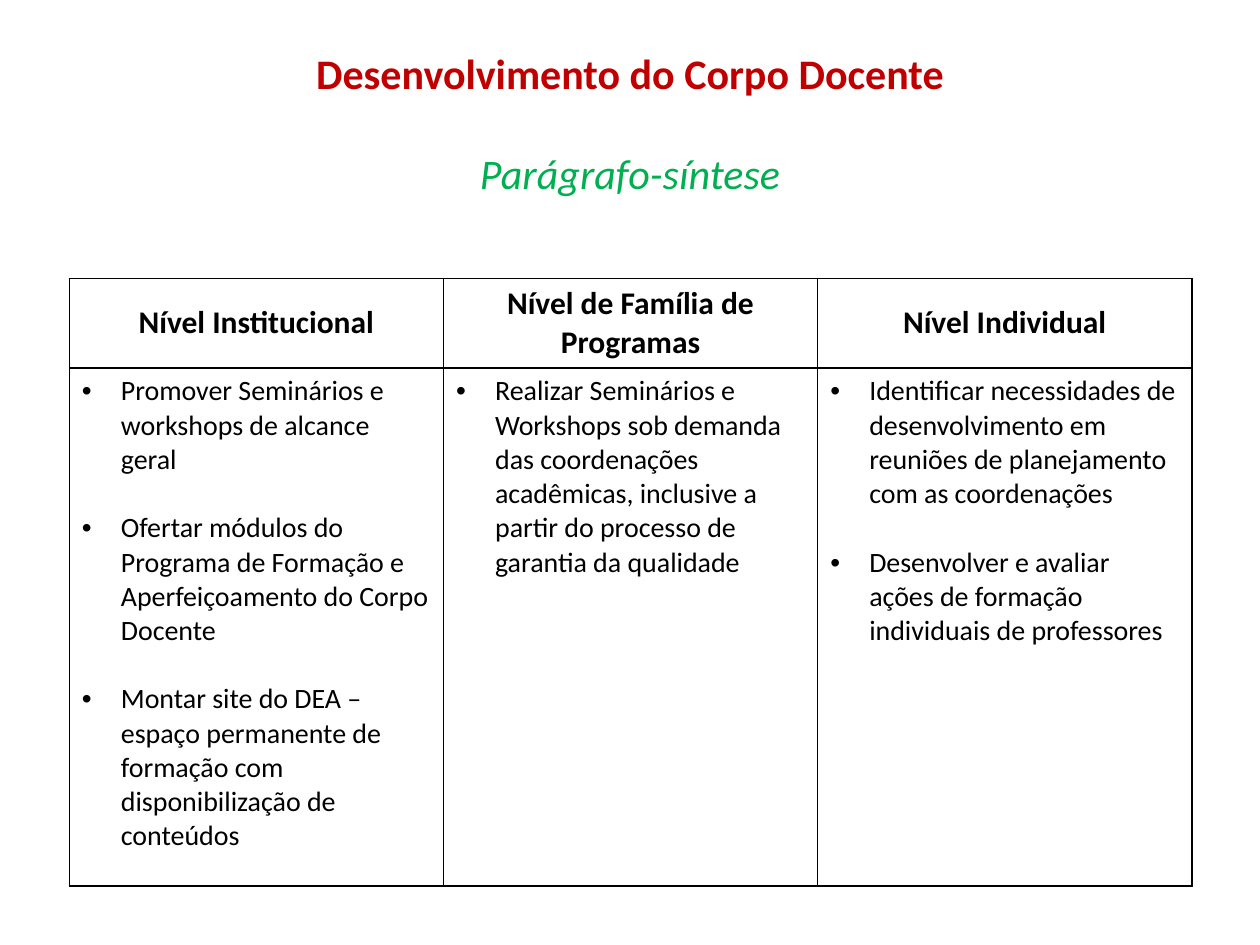
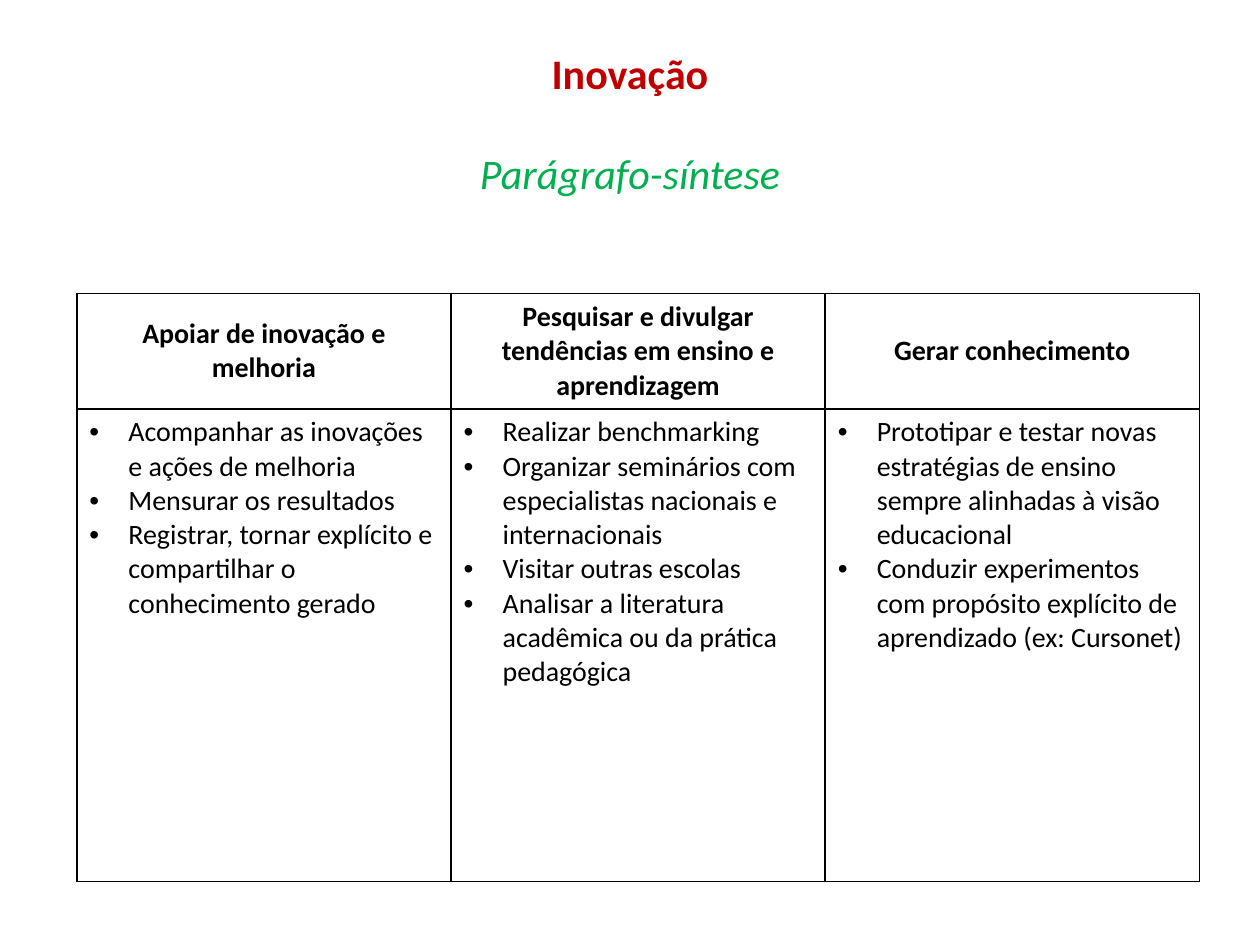
from pptx import Presentation
from pptx.dml.color import RGBColor
from pptx.enum.text import MSO_ANCHOR as Anchor, MSO_AUTO_SIZE as AutoSize, PP_ALIGN as Align
from pptx.oxml import parse_xml
from pptx.oxml.ns import nsdecls
from pptx.util import Inches, Pt

FONT = "Calibri"
RED, GREEN, BLACK = "C00000", "00B050", "000000"
SUBTITLE = "Parágrafo-síntese"
COLUMN_WIDTH = 2.97
BULLET_INDENT = Inches(0.31)
BULLET = f'<a:buChar {nsdecls("a")} char="•"/>'
BULLET_FONT = f'<a:buFont {nsdecls("a")} typeface="Arial"/>'

SLIDES = [
    {
        "title": "Desenvolvimento do Corpo Docente",
        "origin": (0.55, 2.21),
        "row_heights": (0.71, 4.11),
        "header_size": 18,
        "item_gap": 19.5,
        "columns": {
            "Nível Institucional": [
                "Promover Seminários e workshops de alcance geral",
                "Ofertar módulos do Programa de Formação e Aperfeiçoamento do Corpo Docente",
                "Montar site do DEA – espaço permanente de formação com disponibilização de conteúdos",
            ],
            "Nível de Família de Programas": [
                "Realizar Seminários e Workshops sob demanda das coordenações acadêmicas, "
                "inclusive a partir do processo de garantia da qualidade",
            ],
            "Nível Individual": [
                "Identificar necessidades de desenvolvimento em reuniões de planejamento "
                "com as coordenações",
                "Desenvolver e avaliar ações de formação individuais de professores",
            ],
        },
    },
    {
        "title": "Inovação",
        "origin": (0.61, 2.33),
        "row_heights": (0.91, 3.75),
        "header_size": 16,
        "item_gap": 0,
        "columns": {
            "Apoiar de inovação e melhoria": [
                "Acompanhar as inovações e ações de melhoria",
                "Mensurar os resultados",
                "Registrar, tornar explícito e compartilhar o conhecimento gerado",
            ],
            "Pesquisar e divulgar tendências em ensino e aprendizagem": [
                "Realizar benchmarking",
                "Organizar seminários com especialistas nacionais e internacionais",
                "Visitar outras escolas",
                "Analisar a literatura acadêmica ou da prática pedagógica",
            ],
            "Gerar conhecimento": [
                "Prototipar e testar novas estratégias de ensino sempre alinhadas à visão educacional",
                "Conduzir experimentos com propósito explícito de aprendizado (ex: Cursonet)",
            ],
        },
    },
]


def rgb(value):
    return RGBColor.from_string(value)


def apply(target, settings):
    for name, value in settings.items():
        setattr(target, name, value)


class Deck:
    def __init__(self):
        self.presentation = Presentation()
        apply(self.presentation, {"slide_width": Inches(10), "slide_height": Inches(7.5)})
        self.slide = None

    def add_slide(self):
        self.slide = self.presentation.slides.add_slide(self.presentation.slide_layouts[5])

    def add_text(self, paragraph, text, size, color=BLACK, bold=False, italic=False):
        run = paragraph.add_run()
        run.text = text
        apply(run.font, {"name": FONT, "size": Pt(size), "bold": bold, "italic": italic})
        run.font.color.rgb = rgb(color)

    def heading(self, title, subtitle):
        placeholder = self.slide.shapes.title
        apply(placeholder, {"left": Inches(0.5), "top": Inches(0.3),
                            "width": Inches(9), "height": Inches(1.95)})
        frame = placeholder.text_frame
        apply(frame, {"auto_size": AutoSize.NONE, "word_wrap": True,
                      "vertical_anchor": Anchor.TOP, "margin_top": Inches(0.08)})
        title_line, subtitle_line = frame.paragraphs[0], frame.add_paragraph()
        apply(title_line, {"alignment": Align.CENTER})
        apply(subtitle_line, {"alignment": Align.CENTER, "space_before": Pt(28)})
        self.add_text(title_line, title, 24, RED, bold=True)
        self.add_text(subtitle_line, subtitle, 24, GREEN, italic=True)

    def outline(self, cell):
        properties = cell._tc.get_or_add_tcPr()
        for side in "LRTB":
            properties.append(parse_xml(
                f'<a:ln{side} {nsdecls("a")} w="{Pt(1)}"><a:solidFill>'
                f'<a:srgbClr val="{BLACK}"/></a:solidFill></a:ln{side}>'))
        cell.fill.background()

    def header(self, cell, text, size):
        self.outline(cell)
        cell.vertical_anchor = Anchor.MIDDLE
        paragraph = cell.text_frame.paragraphs[0]
        paragraph.alignment = Align.CENTER
        self.add_text(paragraph, text, size, bold=True)

    def bullets(self, cell, items, gap):
        self.outline(cell)
        frame = cell.text_frame
        for index, item in enumerate(items):
            paragraph = frame.add_paragraph() if index else frame.paragraphs[0]
            properties = paragraph._p.get_or_add_pPr()
            properties.set("marL", str(BULLET_INDENT))
            properties.set("indent", str(-BULLET_INDENT))
            for element in (BULLET_FONT, BULLET):
                properties.append(parse_xml(element))
            if index and gap:
                paragraph.space_before = Pt(gap)
            self.add_text(paragraph, item, 16)

    def level_table(self, columns, origin, row_heights, header_size, item_gap):
        left, top = origin
        table = self.slide.shapes.add_table(
            2, len(columns), Inches(left), Inches(top),
            Inches(COLUMN_WIDTH * len(columns)), Inches(sum(row_heights))).table
        apply(table, {"first_row": False, "horz_banding": False})
        for row, height in zip(table.rows, row_heights):
            row.height = Inches(height)
        for index, (name, items) in enumerate(columns.items()):
            table.columns[index].width = Inches(COLUMN_WIDTH)
            self.header(table.cell(0, index), name, header_size)
            self.bullets(table.cell(1, index), items, item_gap)


def main():
    deck = Deck()
    for content in SLIDES:
        deck.add_slide()
        deck.heading(content["title"], SUBTITLE)
        deck.level_table(content["columns"], content["origin"], content["row_heights"],
                         content["header_size"], content["item_gap"])
    deck.presentation.save("out.pptx")


if __name__ == "__main__":
    main()
